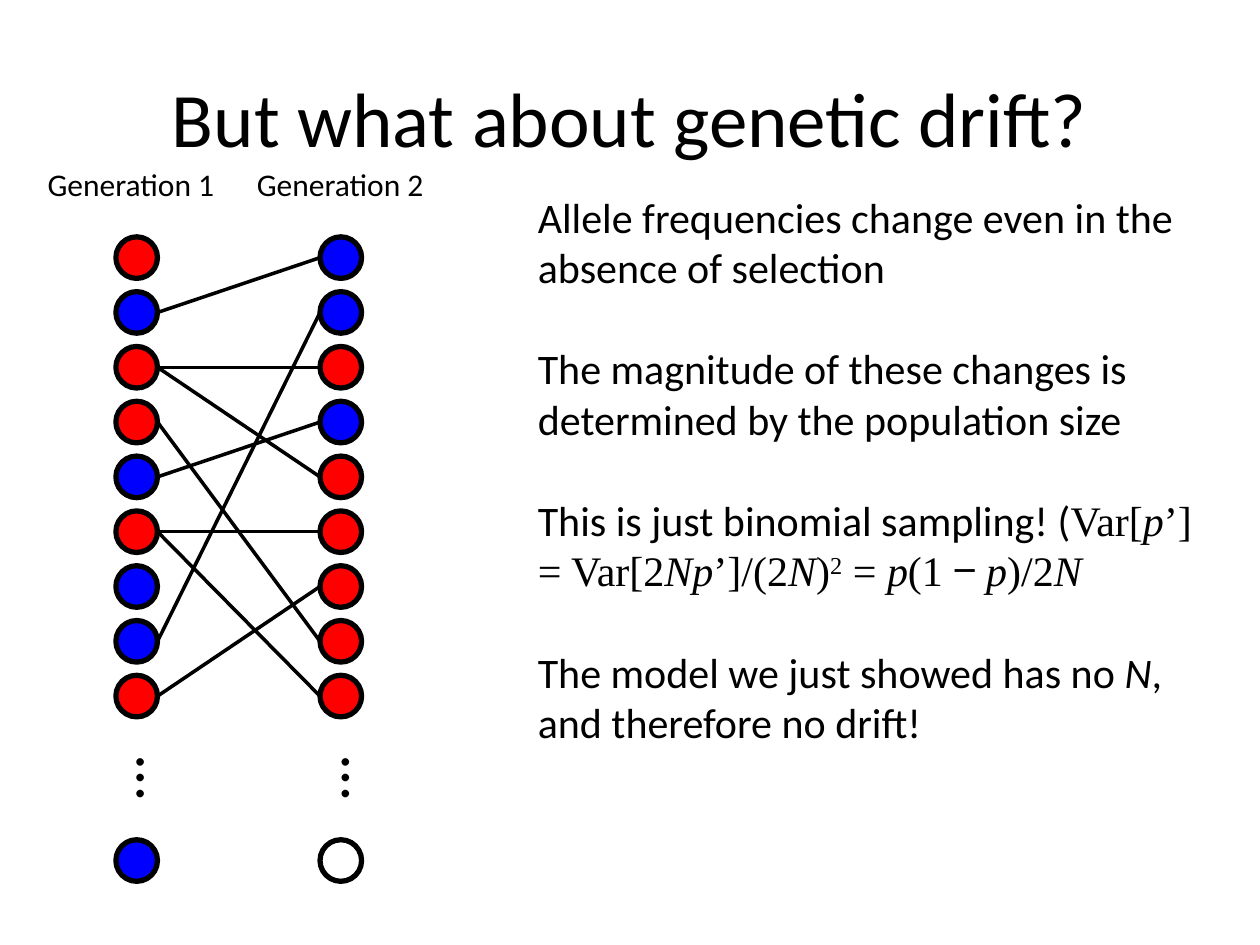
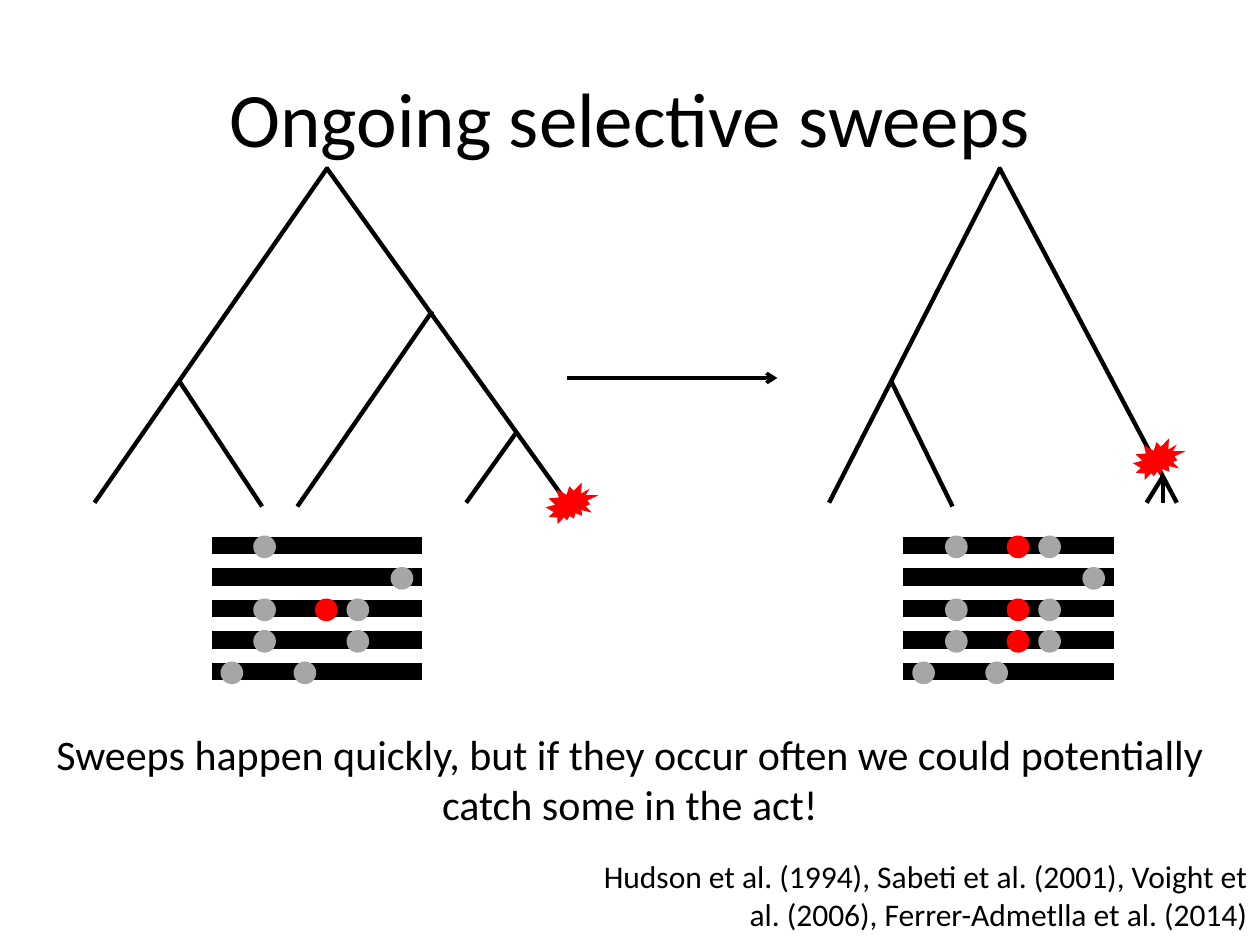
from lxml import etree
from pptx import Presentation
from pptx.dml.color import RGBColor
from pptx.enum.shapes import MSO_CONNECTOR, MSO_SHAPE
from pptx.enum.text import MSO_ANCHOR, PP_ALIGN
from pptx.oxml.ns import qn
from pptx.util import Inches, Pt

BLACK, RED, BLUE, GREY = "000000", "FF0000", "0000FF", "A6A6A6"
FONT, MATH = "Calibri", "Times New Roman"
color = RGBColor.from_string


def add_shape(s, kind, x, y, w, h, fill=None, line_width=None):
    sp = s.shapes.add_shape(kind, Inches(x), Inches(y), Inches(w), Inches(h))
    sp.shadow.inherit = False
    if fill:
        sp.fill.solid()
        sp.fill.fore_color.rgb = color(fill)
    else:
        sp.fill.background()
    if line_width:
        sp.line.color.rgb = color(BLACK)
        sp.line.width = Pt(line_width)
    else:
        sp.line.fill.background()


def add_line(s, x1, y1, x2, y2, width, arrow=False):
    line = s.shapes.add_connector(MSO_CONNECTOR.STRAIGHT, Inches(x1), Inches(y1), Inches(x2), Inches(y2))
    line.line.color.rgb = color(BLACK)
    line.line.width = Pt(width)
    if arrow:
        etree.SubElement(line.line._get_or_add_ln(), qn("a:tailEnd"), type="arrow")
    etree.SubElement(line._element.spPr, qn("a:effectLst"))


prs = Presentation()
prs.slide_width, prs.slide_height = Inches(10), Inches(7.5)
drift, sweeps = [prs.slides.add_slide(prs.slide_layouts[6]) for _ in range(2)]

# Plain text: slide, text, box, size, alignment, anchor, rotation
LEFT, CENTER, RIGHT = PP_ALIGN.LEFT, PP_ALIGN.CENTER, PP_ALIGN.RIGHT
TOP, MIDDLE = MSO_ANCHOR.TOP, MSO_ANCHOR.MIDDLE
texts = [
    (drift, "But what about genetic drift?", (0, 0.3, 10, 1.25), 44, CENTER, MIDDLE, 0),
    (drift, "Generation 1", (0.28, 1.26, 1.6, 0.4), 18, LEFT, TOP, 0),
    (drift, "Generation 2", (1.94, 1.26, 1.6, 0.4), 18, LEFT, TOP, 0),
    (drift, "…", (0.8, 5.82, 0.97, 0.71), 36, CENTER, MIDDLE, 90),
    (drift, "…", (2.43, 5.82, 0.97, 0.71), 36, CENTER, MIDDLE, 90),
    (sweeps, "Ongoing selective sweeps", (0, 0.3, 10, 1.25), 44, CENTER, MIDDLE, 0),
    (sweeps, "Sweeps happen quickly, but if they occur often we could potentially catch some in the act!",
     (0, 5.73, 10, 0.91), 24, CENTER, TOP, 0),
    (sweeps, "Hudson et al. (1994), Sabeti et al. (2001), Voight et al. (2006), Ferrer-Admetlla et al. (2014)",
     (4.55, 6.75, 5.45, 0.71), 18, RIGHT, TOP, 0),
]
for s, text, box, size, align, anchor, rotation in texts:
    sp = s.shapes.add_textbox(*map(Inches, box))
    sp.rotation = rotation
    tf = sp.text_frame
    tf.word_wrap = True
    tf.vertical_anchor = anchor
    p = tf.paragraphs[0]
    p.text = text
    p.alignment = align
    p.font.name, p.font.size = FONT, Pt(size)
    p.font.color.rgb = color(BLACK)

# Slide 1: explanation, each run with its font and italics
explanation = [
    [("Allele frequencies change even in the absence of selection", FONT, False)],
    [("The magnitude of these changes is determined by the population size", FONT, False)],
    [("This is just binomial sampling! (", FONT, False), ("Var[", MATH, False), ("p", MATH, True),
     ("’] = Var[2", MATH, False), ("Np", MATH, True), ("’]/(2", MATH, False), ("N", MATH, True),
     (")", MATH, False), ("2", MATH, False), (" = ", MATH, False), ("p", MATH, True),
     ("(1 ", MATH, False), ("− ", "Noto Sans CJK JP", False), ("p", MATH, True),
     (")/2", MATH, False), ("N", MATH, True)],
    [("The model we just showed has no ", FONT, False), ("N", FONT, True),
     (", and therefore no drift!", FONT, False)],
]
tf = drift.shapes.add_textbox(Inches(4.17), Inches(1.47), Inches(5.46), Inches(5.52)).text_frame
tf.word_wrap = True
for i, runs in enumerate(explanation):
    p = tf.add_paragraph() if i else tf.paragraphs[0]
    if i:
        p.space_before = Pt(29)
    p.font.size = Pt(24)
    p.font.color.rgb = color(BLACK)
    for text, font, italic in runs:
        r = p.add_run()
        r.text = text
        r.font.name, r.font.italic = font, italic
        if text == "2":
            r.font._element.set("baseline", "30000")

# Slide 1: alleles of both generations, and who descends from whom
ALLELE, ALLELE_TOP, ALLELE_STEP = 0.33, 1.88, 0.435
GEN1_X, GEN2_X = 0.92, 2.54
FILLS = {"R": RED, "B": BLUE, "-": None}
for x, alleles in ((GEN1_X, "RBRRBRBBR  B"), (GEN2_X, "BBRBRRRRR  -")):
    for row, allele in enumerate(alleles):
        if allele != " ":
            add_shape(drift, MSO_SHAPE.OVAL, x, ALLELE_TOP + row * ALLELE_STEP, ALLELE, ALLELE, FILLS[allele], 3)

for parent, child in ((5, 5), (7, 1), (2, 4), (4, 3), (1, 0), (2, 2), (8, 6), (3, 7), (5, 8)):
    y1, y2 = [ALLELE_TOP + ALLELE / 2 + row * ALLELE_STEP for row in (parent, child)]
    add_line(drift, GEN1_X + ALLELE, y1, GEN2_X, y2, 2)

# Slide 2: genealogies before and during the sweep
branches = [
    (2.6, 1.33, 0.75, 3.99), (2.59, 1.33, 4.5, 3.99), (4.1, 3.43, 3.7, 3.99),
    (3.43, 2.47, 2.36, 4.02), (1.42, 3.02, 2.08, 4.02),
    (7.94, 1.33, 6.58, 3.99), (7.93, 1.33, 9.34, 3.99), (7.07, 3.02, 7.56, 4.02),
    (9.23, 3.79, 9.23, 3.99), (9.23, 3.78, 9.1, 3.99),
]
for branch in branches:
    add_line(sweeps, *branch, 2.5)
for x, y in ((4.33, 3.83), (8.99, 3.48)):
    add_shape(sweeps, MSO_SHAPE.EXPLOSION2, x, y, 0.42, 0.33, RED)
add_line(sweeps, 4.5, 3, 6.17, 3, 2, arrow=True)

# Slide 2: haplotypes, each row listing the offsets of its mutations
SELECTED, DOT = 0.82, 0.18
before = [(0.33,), (1.42,), (0.33, SELECTED, 1.07), (0.33, 1.07), (0.07, 0.65)]
swept = (0.33, SELECTED, 1.07)
during = [swept, (1.42,), swept, swept, (0.07, 0.65)]
for x, haplotypes in ((1.68, before), (7.17, during)):
    for row, mutations in enumerate(haplotypes):
        y = 4.33 + row * 0.25
        add_line(sweeps, x, y, x + 1.67, y, 10)
        for offset in mutations:
            add_shape(sweeps, MSO_SHAPE.OVAL, x + offset, y - 0.08, DOT, DOT, RED if offset == SELECTED else GREY)

prs.save("out.pptx")
